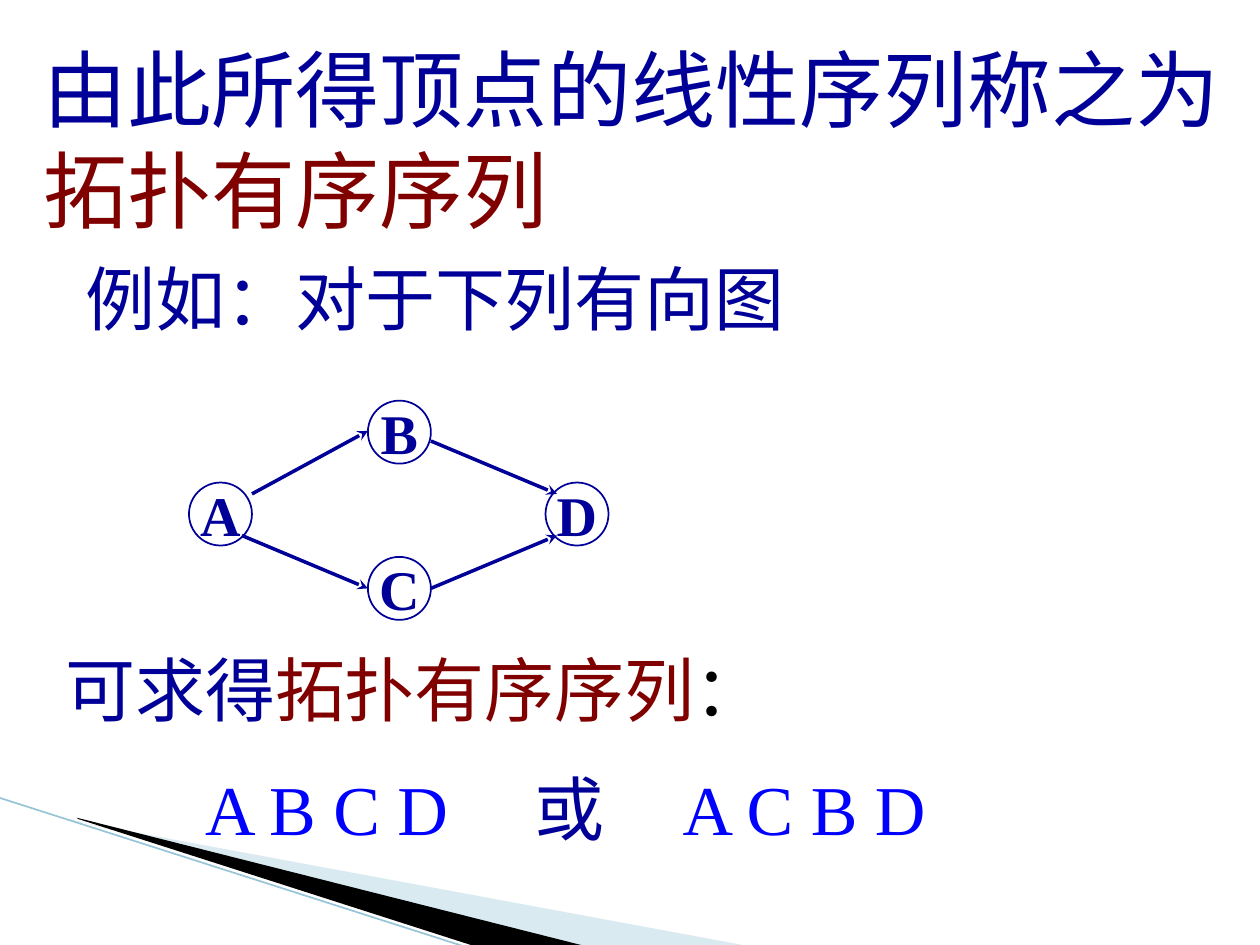
import pptx
import pptx.dml.color
import pptx.enum.shapes
import pptx.enum.text
import pptx.oxml
import pptx.oxml.ns
import pptx.util
from pptx.util import Inches

NAVY = pptx.dml.color.RGBColor(0x00, 0x00, 0x99)
MAROON = pptx.dml.color.RGBColor(0x80, 0x00, 0x00)
BLUE = pptx.dml.color.RGBColor(0x00, 0x00, 0xFF)
BLACK = pptx.dml.color.RGBColor(0x00, 0x00, 0x00)
PALE_BLUE = pptx.dml.color.RGBColor(0xA0, 0xCB, 0xDC)
EDGE_BLUE = pptx.dml.color.RGBColor(0x97, 0xC5, 0xD8)
FONT = "Times New Roman"


def append_element(parent, tag, **attributes):
    """Append a DrawingML element and return it."""
    element = pptx.oxml.parse_xml(f"<{tag} {pptx.oxml.ns.nsdecls('a')}/>")
    for name, value in attributes.items():
        element.set(name, str(value))
    parent.append(element)
    return element


def add_line(slide, start, end, color, width, arrow=False):
    """Add a straight line, optionally ending in a stealth arrowhead."""
    points = [Inches(value) for value in (*start, *end)]
    line = slide.shapes.add_connector(pptx.enum.shapes.MSO_CONNECTOR.STRAIGHT, *points)
    line.line.color.rgb = color
    line.line.width = pptx.util.Pt(width)
    if arrow:
        append_element(line.line._get_or_add_ln(), "a:tailEnd", type="stealth")
    append_element(line._element.spPr, "a:effectLst")


def add_wedge(slide, left, top, points, color, opacity=None):
    """Add a filled outline whose points are relative to its corner."""
    vertices = [(Inches(left + x), Inches(top + y)) for x, y in points]
    builder = slide.shapes.build_freeform(*vertices[0])
    builder.add_line_segments(vertices[1:], close=True)
    shape = builder.convert_to_shape()
    shape.shadow.inherit = False
    shape.fill.solid()
    shape.fill.fore_color.rgb = color
    shape.line.fill.background()
    if opacity is not None:
        fill_color = shape._element.spPr.find(".//" + pptx.oxml.ns.qn("a:srgbClr"))
        append_element(fill_color, "a:alpha", val=opacity * 1000)


def add_corner_decoration(slide, left, top):
    """Draw the wedges and the edge line in the bottom left corner."""
    add_wedge(slide, left + 0.56, top + 0.17, [(0, 0.01), (5.4, 1.01), (4.01, 1.01), (0, 0)], PALE_BLUE, 40)
    add_wedge(slide, left + 0.62, top + 0.16, [(0, 0), (4.04, 1.02), (3.19, 1.03), (0.01, 0.01)], BLACK)
    add_line(slide, (left, top), (left + 3.72, top + 1.19), EDGE_BLUE, 0.95)


def add_text(slide, box, paragraphs, size, wrap=True, gap=0, tabs=()):
    """Add a text box from paragraphs of (text, color) runs."""
    frame = slide.shapes.add_textbox(*map(Inches, box)).text_frame
    frame.word_wrap = wrap
    frame.auto_size = pptx.enum.text.MSO_AUTO_SIZE.SHAPE_TO_FIT_TEXT
    for index, runs in enumerate(paragraphs):
        paragraph = frame.add_paragraph() if index else frame.paragraphs[0]
        if index:
            paragraph.space_before = pptx.util.Pt(gap)
        if tabs and any("\t" in text for text, color in runs):
            tab_list = append_element(paragraph._p.get_or_add_pPr(), "a:tabLst")
            for position in tabs:
                append_element(tab_list, "a:tab", pos=Inches(position), algn="l")
        paragraph.font.size = pptx.util.Pt(size)
        paragraph.font.name = FONT
        for text, color in runs:
            run = paragraph.add_run()
            run.text = text
            run.font.color.rgb = color


def add_vertex(slide, left, top, diameter, label):
    """Add one labelled circle of the graph."""
    shape = slide.shapes.add_shape(
        pptx.enum.shapes.MSO_SHAPE.OVAL, Inches(left), Inches(top), Inches(diameter), Inches(diameter))
    shape.shadow.inherit = False
    shape.fill.background()
    shape.line.color.rgb = NAVY
    shape.line.width = pptx.util.Pt(1)
    frame = shape.text_frame
    frame.word_wrap = False
    frame.vertical_anchor = pptx.enum.text.MSO_ANCHOR.MIDDLE
    paragraph = frame.paragraphs[0]
    paragraph.text = label
    paragraph.alignment = pptx.enum.text.PP_ALIGN.CENTER
    paragraph.font.size = pptx.util.Pt(32)
    paragraph.font.name = FONT
    paragraph.font.bold = True
    paragraph.font.color.rgb = NAVY


def add_graph(slide, left, top):
    """Draw the directed graph with vertices A to D."""
    vertices = {"B": (1.42, 0), "D": (2.83, 0.65), "A": (0, 0.65), "C": (1.42, 1.24)}
    edges = [
        ((0.5, 0.74), (1.42, 0.24)),
        ((0.42, 1.07), (1.42, 1.49)),
        ((1.92, 0.32), (2.92, 0.74)),
        ((1.92, 1.49), (2.92, 1.07)),
    ]
    for label, (x, y) in vertices.items():
        add_vertex(slide, left + x, top + y, 0.5, label)
    for edge in edges:
        start, end = [(left + x, top + y) for x, y in edge]
        add_line(slide, start, end, NAVY, 2, arrow=True)


def main():
    """Build and save the topological order slide."""
    presentation = pptx.Presentation()
    presentation.slide_width = Inches(10)
    presentation.slide_height = Inches(7.5)
    slide = presentation.slides.add_slide(presentation.slide_layouts[6])
    add_corner_decoration(slide, -0.01, 6.33)
    add_text(slide, (0.58, 1.98, 5.76, 0.77), [[("例如：对于下列有向图", NAVY)]], 40, wrap=False)
    add_graph(slide, 1.5, 3.18)
    conclusion = [
        [("可求得", NAVY), ("拓扑有序序列", MAROON), ("：", BLACK)],
        [("\tA B C D", BLUE), ("\t或", NAVY), ("\tA C B D", BLUE)],
    ]
    add_text(slide, (0.42, 5.08, 9, 1.77), conclusion, 40, gap=20, tabs=(1.11, 3.72, 4.9))
    heading = [[("由此所得顶点的线性序列称之为", NAVY), ("拓扑有序序列", MAROON)]]
    add_text(slide, (0.25, 0.25, 9.75, 1.7), heading, 48)
    presentation.save("out.pptx")


if __name__ == "__main__":
    main()
